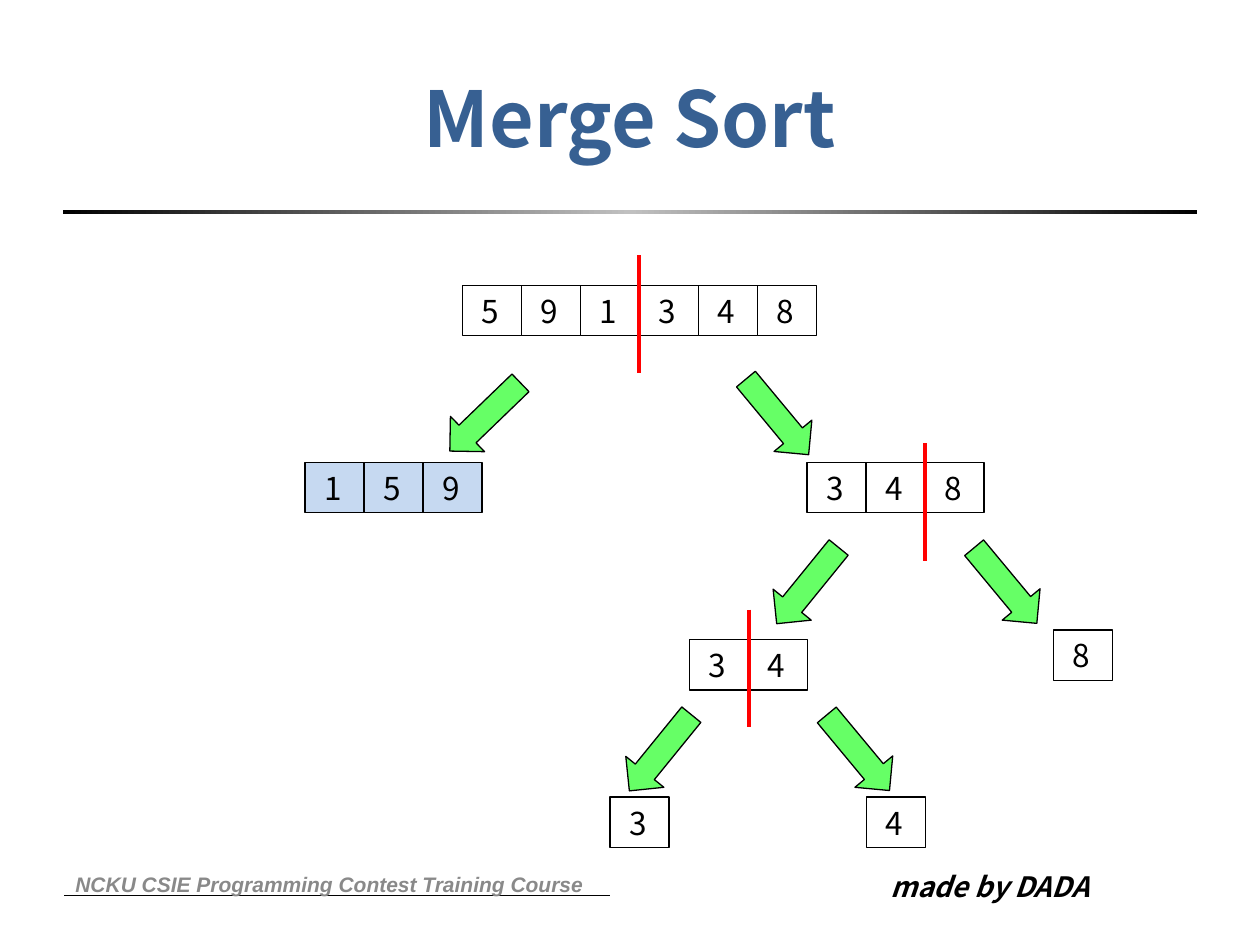
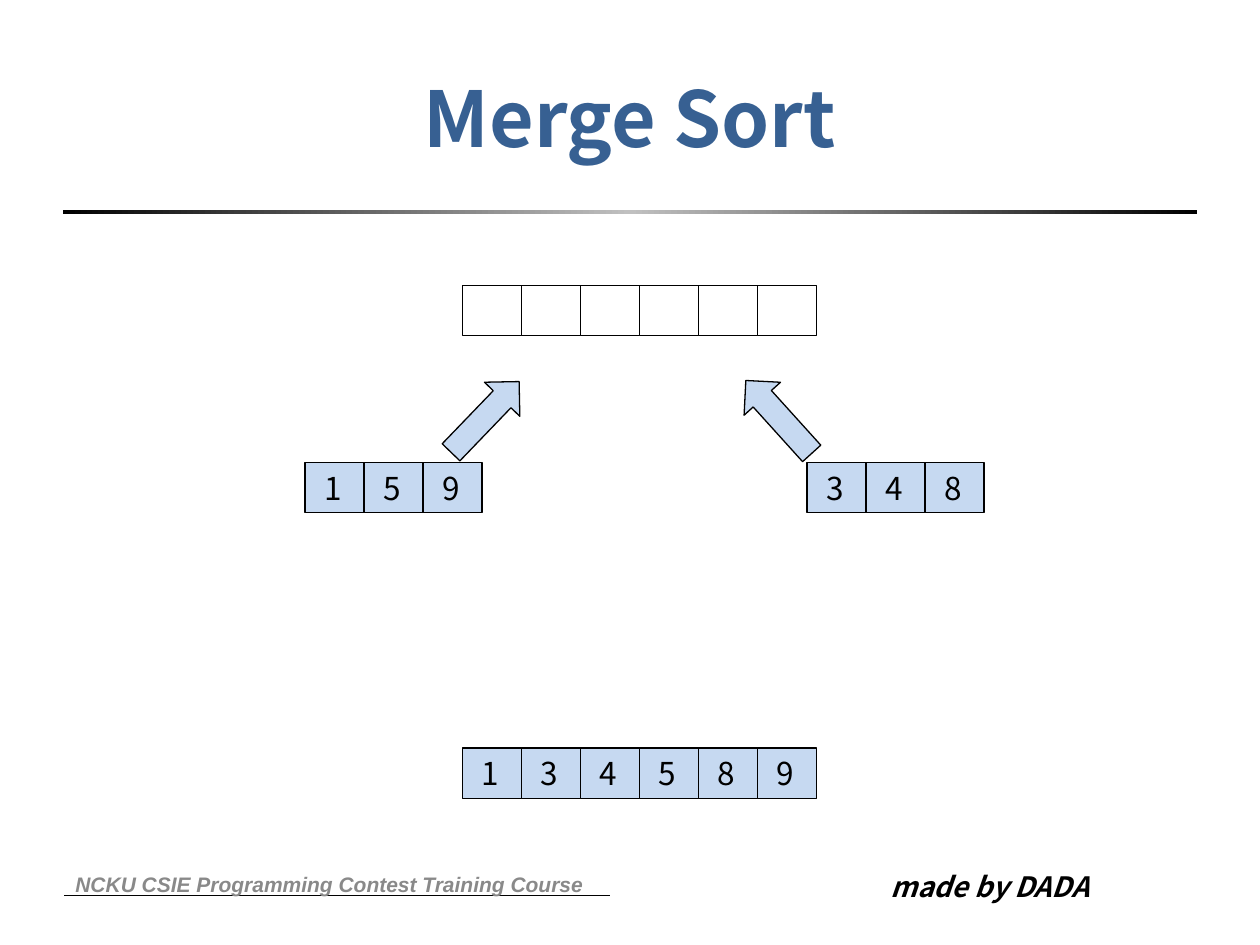
from copy import deepcopy
from dataclasses import dataclass

from pptx import Presentation
from pptx.dml.color import RGBColor
from pptx.enum.shapes import MSO_CONNECTOR, MSO_SHAPE
from pptx.enum.text import MSO_ANCHOR, PP_ALIGN
from pptx.oxml.ns import qn
from pptx.oxml.xmlchemy import OxmlElement
from pptx.util import Cm, Pt


@dataclass(frozen=True)
class Theme:
    black: str = "000000"
    white: str = "FFFFFF"
    silver: str = "C0C0C0"
    gray: str = "898989"
    navy: str = "376092"
    pale: str = "C6D9F1"
    green: str = "66FF66"
    red: str = "FF0000"
    sans: str = "Noto Sans CJK SC"
    arial: str = "Arial"
    head: int = 44
    digit: int = 18
    credit: int = 16
    course: int = 12
    thin: float = 0.5
    edge: float = 0.75
    cut: float = 2.25


THEME = Theme()
CELL_W, CELL_H = 1.19, 1.02
ARROW_W, ARROW_H = 1.98, 0.99
CUT_H = 2.37


def rgb(code):
    return RGBColor.from_string(code)


def box(left, top, width, height):
    return Cm(left), Cm(top), Cm(width), Cm(height)


def write(frame, text, size, color=THEME.black, name=THEME.sans,
          strong=False, slant=False, align=PP_ALIGN.LEFT):
    frame.word_wrap = True
    frame.vertical_anchor = MSO_ANCHOR.MIDDLE
    frame.text = text
    line = frame.paragraphs[0]
    line.alignment = align
    font = line.font
    font.name, font.size = name, Pt(size)
    font.bold, font.italic = strong, slant
    font.color.rgb = rgb(color)


def shape(parts, kind, place, fill):
    item = parts.add_shape(kind, *box(*place))
    item.shadow.inherit = False
    item.fill.solid()
    item.fill.fore_color.rgb = rgb(fill)
    item.line.color.rgb = rgb(THEME.black)
    item.line.width = Pt(THEME.edge)
    return item


def rule(parts, start, end, color, width):
    line = parts.add_connector(MSO_CONNECTOR.STRAIGHT,
                               *map(Cm, start + end))
    line.line.color.rgb = rgb(color)
    line.line.width = Pt(width)
    line._element.spPr.append(OxmlElement("a:effectLst"))


# Title and the shaded band below it
def header(slide, left, top, width, text):
    title = slide.shapes.title
    title.left, title.top, title.width, title.height = box(
        left, top, width, 3.18)
    write(title.text_frame, text, THEME.head, THEME.navy,
          strong=True, align=PP_ALIGN.CENTER)

    band = shape(slide.shapes, MSO_SHAPE.RECTANGLE,
                 (left, top + 3.48, width, 0.08), THEME.black)
    band.line.fill.background()
    band.fill.gradient()
    band.fill.gradient_angle = 0
    stops = band._element.spPr.find(qn("a:gradFill")).find(qn("a:gsLst"))
    stops.insert(1, deepcopy(stops[0]))
    shades = (THEME.black, THEME.silver, THEME.black)
    for i, (stop, shade) in enumerate(zip(band.fill.gradient_stops, shades)):
        stop.position = i / 2
        stop.color.rgb = rgb(shade)


# Course name, its underline and the credit
def footer(slide, left, top):
    rule(slide.shapes, (left + 0.03, top + 0.74), (left + 11.02, top + 0.74),
         THEME.black, THEME.thin)
    course = slide.shapes.add_textbox(*box(left, top, 10.82, 1.02))
    write(course.text_frame, "NCKU CSIE Programming Contest Training Course",
          THEME.course, THEME.gray, THEME.arial, True, True)
    credit = slide.shapes.add_textbox(*box(left + 16.43, top + 0.08,
                                           6.4, 0.94))
    write(credit.text_frame, "made by DADA", THEME.credit,
          strong=True, slant=True)


# A row of cells; cut is the cell to split before, rise the line's overhang
def row(slide, left, top, digits, fill=THEME.white, cut=None, rise=0.6):
    parts = slide.shapes.add_group_shape().shapes
    for i, digit in enumerate(digits):
        cell = shape(parts, MSO_SHAPE.RECTANGLE,
                     (left + i * CELL_W, top, CELL_W, CELL_H), fill)
        if digit:
            write(cell.text_frame, digit, THEME.digit)
            cell.text_frame.margin_left = Cm(0.39)
    if cut:
        x, y = left + cut * CELL_W, top - rise
        rule(parts, (x, y), (x, y + CUT_H), THEME.red, THEME.cut)


def arrow(slide, left, top, turn, fill):
    item = shape(slide.shapes, MSO_SHAPE.RIGHT_ARROW,
                 (left, top, ARROW_W, ARROW_H), fill)
    item.rotation = turn


def page(deck):
    slide = deck.slides.add_slide(deck.slide_layouts[5])
    header(slide, 1.27, 0.76, 22.86, "Merge Sort")
    footer(slide, 1.27, 17.32)
    return slide


# Splitting the right half down to single cells
def split(deck):
    slide = page(deck)
    row(slide, 9.32, 5.75, "591348", cut=3)
    row(slide, 6.15, 9.32, "159", THEME.pale)
    row(slide, 16.27, 9.32, "348", cut=2, rise=0.38)
    row(slide, 13.9, 12.89, "34", cut=1)
    row(slide, 21.24, 12.7, "8")
    row(slide, 12.3, 16.07, "3")
    row(slide, 17.47, 16.07, "4")
    # Each fork: left arrow, right arrow, height, turn of the left one
    forks = ((8.79, 14.68, 7.91, 136),
             (15.29, 19.28, 11.31, 129.1),
             (12.32, 16.31, 14.68, 129.1))
    for west, east, top, turn in forks:
        arrow(slide, west, top, turn, THEME.green)
        arrow(slide, east, top, 50.3, THEME.green)


# Merging both sorted halves
def merge(deck):
    slide = page(deck)
    row(slide, 6.15, 9.32, "159", THEME.pale)
    row(slide, 16.27, 9.32, "348", THEME.pale)
    arrow(slide, 14.71, 7.91, 227.9, THEME.pale)
    arrow(slide, 8.79, 7.91, 313.9, THEME.pale)
    row(slide, 9.32, 5.75, [""] * 6)
    row(slide, 9.32, 15.08, "134589", THEME.pale)


def main():
    deck = Presentation()
    deck.slide_width, deck.slide_height = Cm(25.4), Cm(19.05)
    split(deck)
    merge(deck)
    deck.save("out.pptx")


if __name__ == "__main__":
    main()
